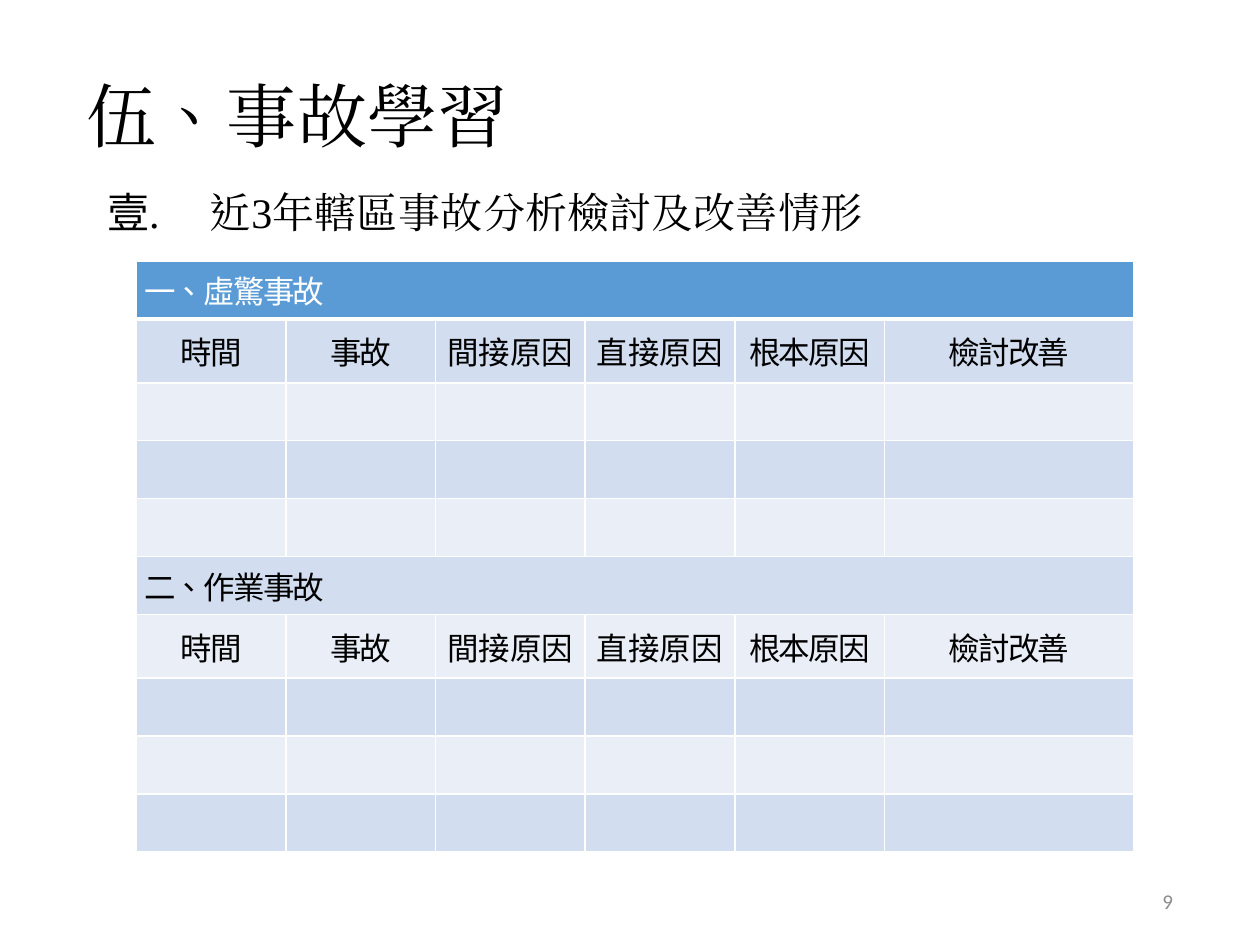
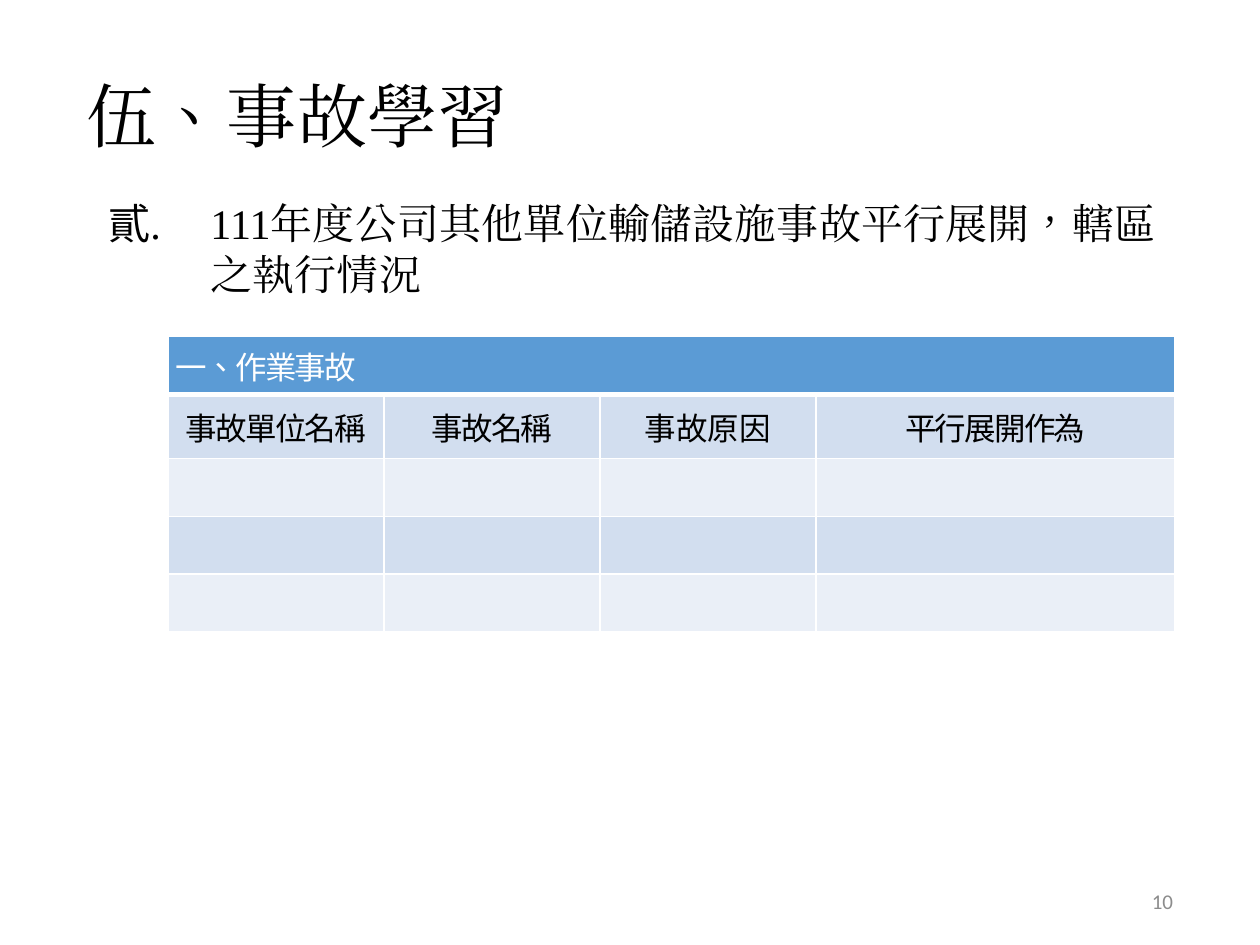
from lxml import etree
from pptx import Presentation
from pptx.dml.color import RGBColor
from pptx.enum.text import MSO_ANCHOR, PP_ALIGN
from pptx.oxml.ns import qn
from pptx.util import Pt

MID, TOP = MSO_ANCHOR.MIDDLE, MSO_ANCHOR.TOP
LEFT, MID_ROW, RIGHT = PP_ALIGN.LEFT, PP_ALIGN.CENTER, PP_ALIGN.RIGHT
BLACK = RGBColor(0, 0, 0)
WHITE = RGBColor(255, 255, 255)
GREY = RGBColor(0x8C, 0x8C, 0x8C)
BLUE = RGBColor(0x5B, 0x9B, 0xD5)
BANDS = (RGBColor(0xEA, 0xEF, 0xF7), RGBColor(0xD2, 0xDE, 0xEF))

SERIF, SANS, PLAIN = "Times New Roman", "Noto Sans CJK SC", "Calibri"
TITLE = "伍、事故學習"
TITLE_BOX = (48.24, 41.04, 623.52, 48.6)
PAGE_BOX = (508.32, 500.4, 162, 28.8)
ROWS = (33.1, 36.5, 33.1, 33.1, 33.1)
TIGHT = -1
LOOSE = ("間接原因", "直接原因", "事故原因")


def put(obj, **values):
    for name, value in values.items():
        setattr(obj, name, value)


def add_run(para, text, face, size, color, space=0):
    run = para.add_run()
    run.text = text
    put(run.font, name=face, size=Pt(size))
    run.font.color.rgb = color
    props = run.font._element
    put_xml = {"lang": "zh-TW", "spc": str(round(space * 100))}
    for name, value in put_xml.items():
        props.set(name, value)
    etree.SubElement(props, qn("a:ea"), typeface=face)


def add_box(slide, box, anchor, align=LEFT):
    frame = slide.shapes.add_textbox(*map(Pt, box)).text_frame
    put(frame, word_wrap=True, vertical_anchor=anchor, margin_left=0,
        margin_right=0, margin_top=0, margin_bottom=0)
    para = frame.paragraphs[0]
    para.alignment = align
    return para


def set_indent(para, left, first):
    props = para._p.get_or_add_pPr()
    props.set("marL", str(Pt(left)))
    props.set("indent", str(Pt(first)))
    return props


def add_frame(slide, page):
    para = add_box(slide, TITLE_BOX, MID)
    set_indent(para, 1.44, 0)
    add_run(para, TITLE, SERIF, 40, BLACK, 0.1)
    para = add_box(slide, PAGE_BOX, MID, RIGHT)
    add_run(para, str(page), PLAIN, 12, GREY)


def add_point(slide, box, start, parts):
    para = add_box(slide, box, TOP)
    props = set_indent(para, 59.76, -58.32)
    etree.SubElement(props, qn("a:buFont"), typeface=SERIF)
    etree.SubElement(props, qn("a:buAutoNum"), type="ea1ChtPeriod",
                     startAt=str(start))
    for text, space in parts:
        add_run(para, text, SERIF, 24, BLACK, space)


def add_edges(cell, base):
    props = cell._tc.get_or_add_tcPr()
    widths = {"lnL": 1, "lnR": 1, "lnT": 1, "lnB": base}
    for spot, (side, width) in enumerate(widths.items()):
        line = etree.Element(qn("a:" + side), w=str(Pt(width)))
        fill = etree.SubElement(line, qn("a:solidFill"))
        etree.SubElement(fill, qn("a:srgbClr"), val=str(WHITE))
        props.insert(spot, line)


def fill_cell(cell, row, text, align):
    put(cell, vertical_anchor=MID, margin_left=Pt(4.5), margin_right=Pt(4.5),
        margin_top=Pt(2.2), margin_bottom=Pt(2.2))
    cell.fill.solid()
    cell.fill.fore_color.rgb = BANDS[row % 2] if row else BLUE
    add_edges(cell, 1 if row else 3)
    para = cell.text_frame.paragraphs[0]
    para.alignment = align
    if text:
        add_run(para, text, SANS, 18, BLACK if row else WHITE,
                0 if text in LOOSE else TIGHT)


def add_log(slide, left, top, widths, groups, heads):
    sizes = ROWS * len(groups)
    count = len(widths)
    shape = slide.shapes.add_table(len(sizes), count, Pt(left), Pt(top),
                                   Pt(sum(widths)), Pt(sum(sizes)))
    table = shape.table
    put(table, first_row=False, horz_banding=False)
    for col, width in zip(table.columns, widths):
        col.width = Pt(width)
    blank = [""] * count
    for row, size in enumerate(sizes):
        table.rows[row].height = Pt(size)
        group, step = divmod(row, len(ROWS))
        band = [groups[group]] + blank[1:]
        texts = (band, heads)[step] if step < 2 else blank
        for col, text in enumerate(texts):
            fill_cell(table.cell(row, col), row, text,
                      MID_ROW if step else LEFT)
        if step == 0:
            table.cell(row, 0).merge(table.cell(row, count - 1))


deck = Presentation()
put(deck, slide_width=Pt(720), slide_height=Pt(540))
blank = deck.slide_layouts[6]

review = deck.slides.add_slide(blank)
add_frame(review, 9)
add_log(review, 77.9, 149.2, (85.5,) * 5 + (142.5,),
        ("一、虛驚事故", "二、作業事故"),
        ("時間", "事故", "間接原因", "直接原因", "根本原因", "檢討改善"))
add_point(review, (59.76, 106.56, 509.76, 28.8), 1,
          (("近", 0.1), ("3", -0.1), ("年轄區", 0.1), ("事", -0.2),
           ("故分析", 0.1), ("檢", -0.2), ("討", 0.1), ("及", -0.2),
           ("改善情形", 0.1)))

spread = deck.slides.add_slide(blank)
add_frame(spread, 10)
add_log(spread, 96, 192.4, (123.4,) * 3 + (205,), ("一、作業事故",),
        ("事故單位名稱", "事故名稱", "事故原因", "平行展開作為"))
add_point(spread, (60.48, 113.04, 623.52, 58.32), 2,
          (("111年度公司其他單位輸儲設施事故平行展開，轄區之執行情況", 0.1),))

deck.save("out.pptx")
